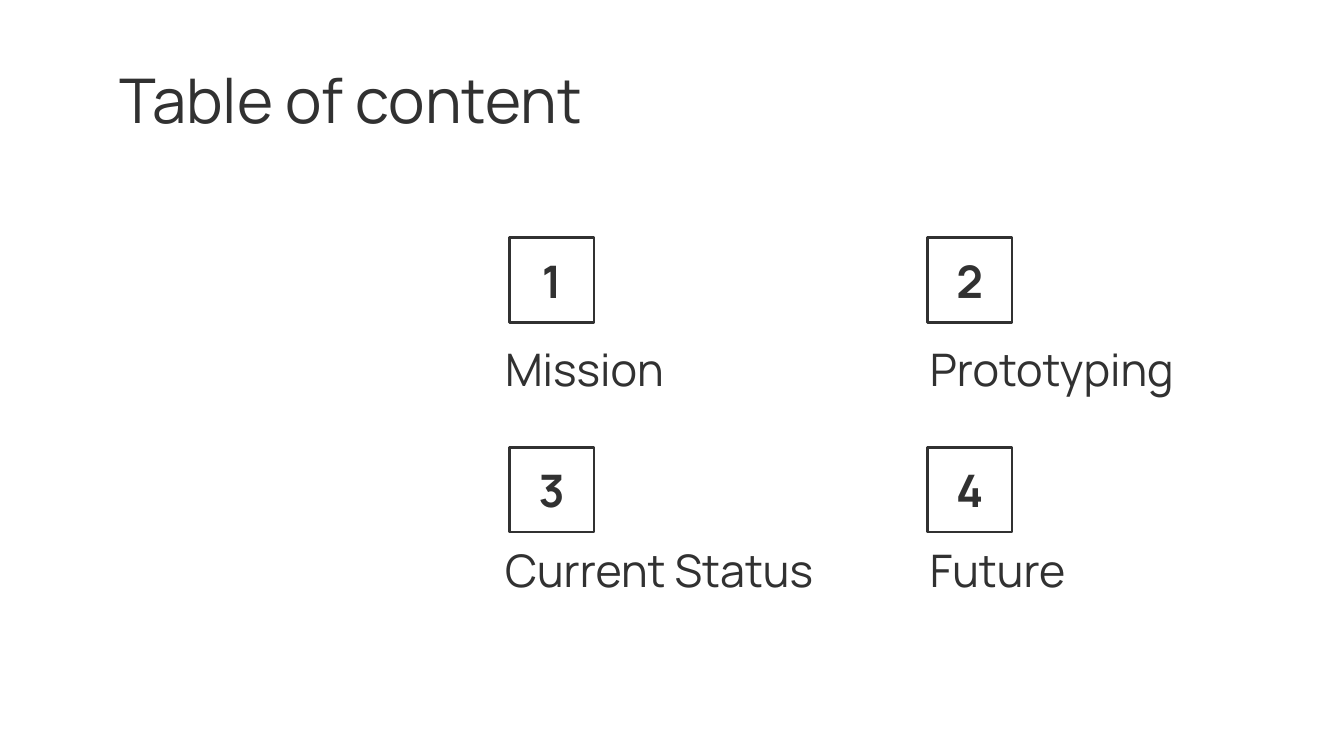
from dataclasses import dataclass

from pptx import Presentation
from pptx.dml.color import RGBColor
from pptx.enum.shapes import MSO_SHAPE as SHAPE
from pptx.enum.text import MSO_ANCHOR as ANCHOR, PP_ALIGN as ALIGN
from pptx.util import Inches, Pt


@dataclass(frozen=True)
class Theme:
    font: str = "Manrope"
    ink: RGBColor = RGBColor(0x31, 0x31, 0x31)
    paper: RGBColor = RGBColor(0xFF, 0xFF, 0xFF)
    title_size: int = 33
    item_size: int = 24
    line_width: float = 1.5
    inset: float = 0.1


def write(shape, text, theme, size, bold=False, align=ALIGN.LEFT):
    tf = shape.text_frame
    tf.word_wrap = True
    tf.vertical_anchor = ANCHOR.MIDDLE
    tf.margin_left = tf.margin_right = Inches(theme.inset)
    tf.margin_top = tf.margin_bottom = Inches(theme.inset)
    p = tf.paragraphs[0]
    p.alignment = align
    p.line_spacing = 1.0
    r = p.add_run()
    r.text = text
    r.font.name = theme.font
    r.font.size = Pt(size)
    r.font.bold = bold
    r.font.color.rgb = theme.ink


class SlideBuilder:
    def __init__(self, prs, theme):
        self.theme = theme
        self.slide = prs.slides.add_slide(prs.slide_layouts[5])
        fill = self.slide.background.fill
        fill.solid()
        fill.fore_color.rgb = theme.paper

    def title(self, text, x, y, w, h):
        sp = self.slide.shapes.title
        sp.left, sp.top, sp.width, sp.height = map(Inches, (x, y, w, h))
        write(sp, text, self.theme, self.theme.title_size)

    def label(self, text, x, y, w, h):
        sp = self.slide.shapes.add_textbox(*map(Inches, (x, y, w, h)))
        write(sp, text, self.theme, self.theme.item_size)

    def number_box(self, number, x, y, side):
        sp = self.slide.shapes.add_shape(
            SHAPE.RECTANGLE, *map(Inches, (x, y, side, side)))
        sp.shadow.inherit = False
        sp.fill.background()
        sp.line.color.rgb = self.theme.ink
        sp.line.width = Pt(self.theme.line_width)
        write(sp, str(number), self.theme, self.theme.item_size,
              bold=True, align=ALIGN.CENTER)


SLIDE_WIDTH = 10
SLIDE_HEIGHT = SLIDE_WIDTH * 9 / 16

# Label text and width, in reading order
SECTIONS = [("Mission", 2.1), ("Prototyping", 2.36),
            ("Current Status", 2.8), ("Future", 2.1)]
COLUMNS = [(3.79, 3.66), (6.9, 6.82)]  # left of box, left of label
ROWS = [(1.77, 2.45), (3.33, 3.95)]  # top of box, top of label
BOX_SIDE = 0.63
LABEL_HEIGHT = 0.58


def main():
    prs = Presentation()
    prs.slide_width = Inches(SLIDE_WIDTH)
    prs.slide_height = Inches(SLIDE_HEIGHT)
    s = SlideBuilder(prs, Theme())
    s.title("Table of content", 0.79, 0.42, 6.94, 0.63)
    for i, (name, width) in enumerate(SECTIONS):
        row, column = divmod(i, len(COLUMNS))
        box_x, label_x = COLUMNS[column]
        box_y, label_y = ROWS[row]
        s.number_box(i + 1, box_x, box_y, BOX_SIDE)
        s.label(name, label_x, label_y, width, LABEL_HEIGHT)
    prs.save("out.pptx")


if __name__ == "__main__":
    main()
